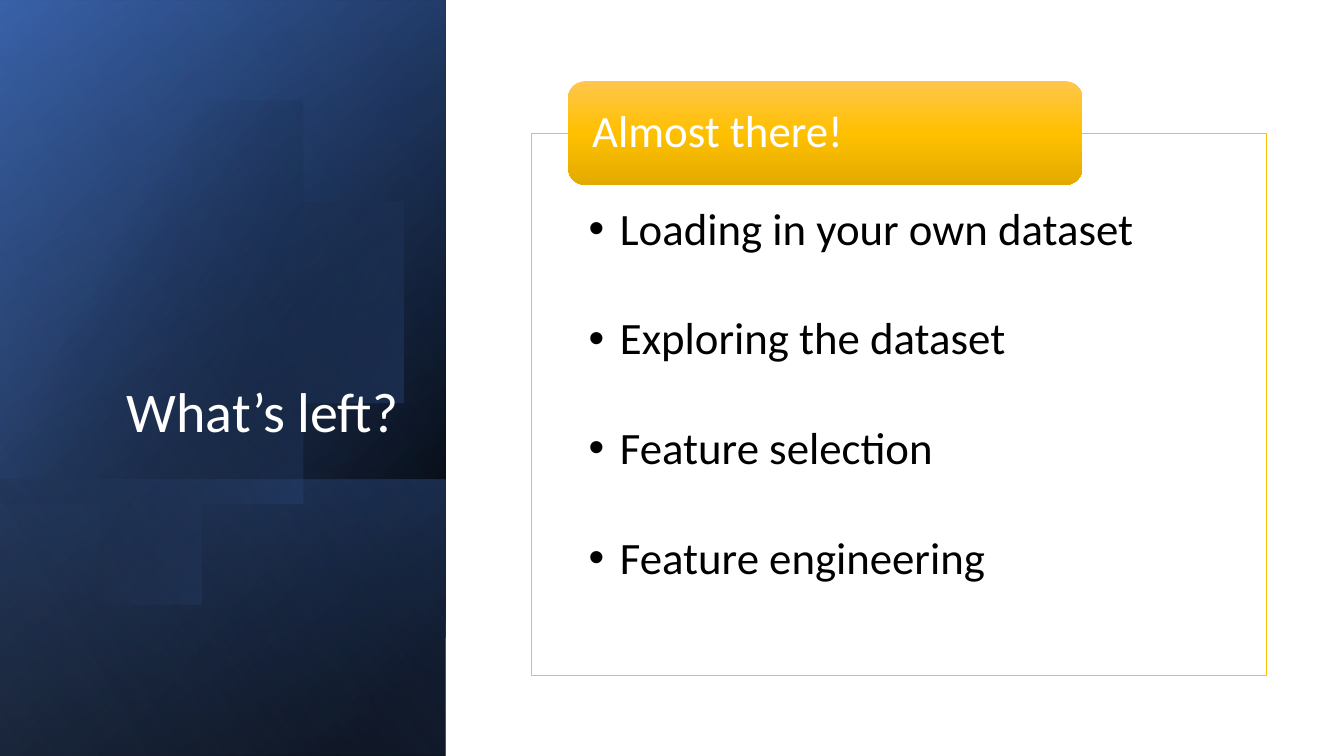
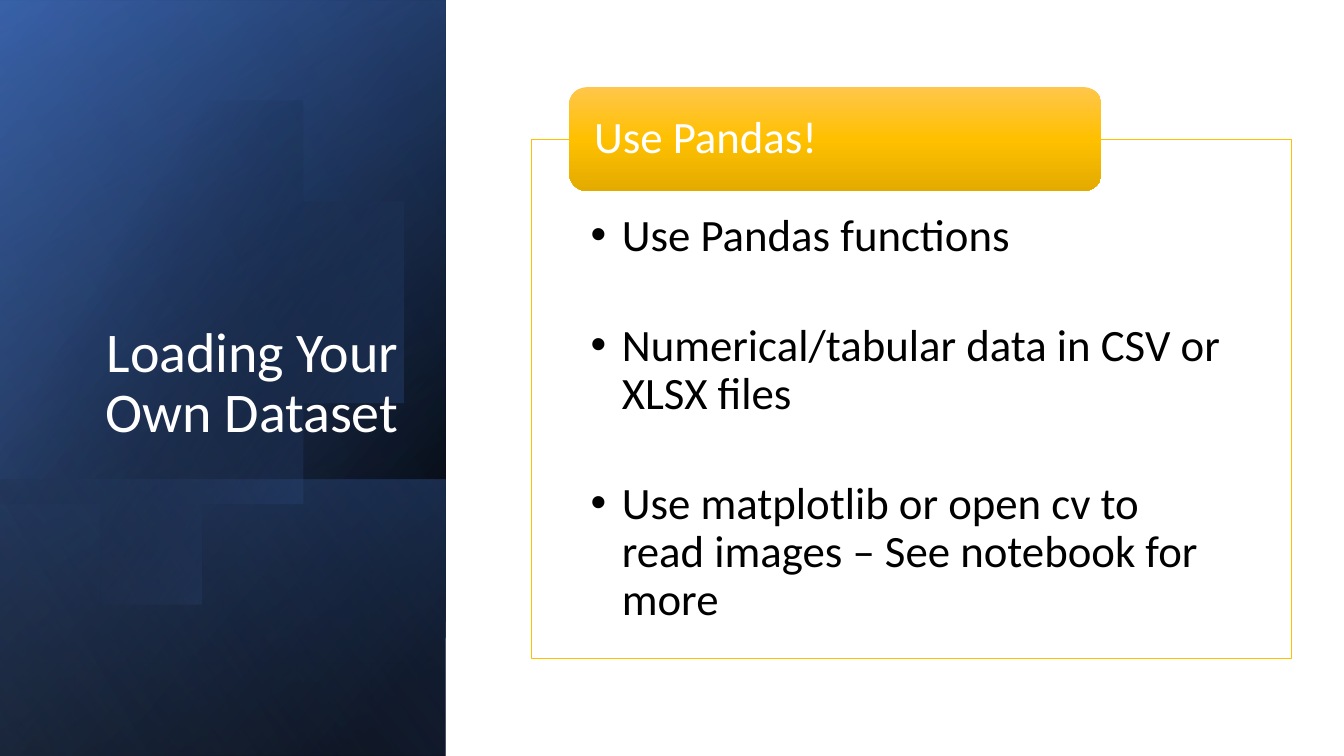
import math

import lxml.etree
import pptx
import pptx.dml.color
import pptx.enum.shapes
import pptx.enum.text
import pptx.oxml.ns
import pptx.util

Inches = pptx.util.Inches
Pt = pptx.util.Pt
qn = pptx.oxml.ns.qn
SHAPES = pptx.enum.shapes.MSO_SHAPE
ANCHOR = pptx.enum.text.MSO_ANCHOR
ALIGN = pptx.enum.text.PP_ALIGN

# Band layers: left, top, width, height, gradient angle,
# stops of (position %, colour, opacity %)
BAND_LAYERS = [
    (0, 0, 4.42, 7.5, 50, [(8, "000000", 100), (100, "2F5597", 100)]),
    (0, 0.01, 4.42, 7.5, 30, [(0, "000000", 0), (99, "4472C4", 46)]),
    (0, 4.76, 4.42, 2.74, 130, [(2, "4472C4", 29), (100, "000000", 30)]),
]
BAND_SHEEN = (0, 0, 4.42, 7.5, 120, [(0, "000000", 0), (99, "8FAADC", 11)])
DISC_STOPS = [(29, "000000", 0), (100, "4472C4", 43)]
HEADER_STOPS = [(0, "FFC64B", 100), (50, "FFC000", 100), (100, "E3AB00", 100)]

# Slide content: title, panel frame, header, bullets
SLIDES = [
    ("What’s left?", (5.27, 1.32, 7.29, 5.38), "Almost there!",
     ["Loading in your own dataset", "Exploring the dataset",
      "Feature selection", "Feature engineering"]),
    ("Loading Your Own Dataset", (5.27, 1.38, 7.54, 5.15), "Use Pandas!",
     ["Use Pandas functions", "Numerical/tabular data in CSV or XLSX files",
      "Use matplotlib or open cv to read images – See notebook for more"]),
]


def rgb(value):
    return pptx.dml.color.RGBColor.from_string(value)


def apply_format(target, values):
    for name, value in values.items():
        setattr(target, name, value)


class Designer:
    font = "Calibri"
    white, black, gold = "FFFFFF", "000000", "FFC000"
    title_size, body_size = 40, 32
    line_spacing = 0.9

    def __init__(self):
        self.deck = pptx.Presentation()
        apply_format(self.deck, {"slide_width": Inches(13.33),
                                 "slide_height": Inches(7.5)})
        self.page = None

    def new_page(self):
        self.page = self.deck.slides.add_slide(self.deck.slide_layouts[6])

    def shape(self, kind, left, top, width, height):
        box = self.page.shapes.add_shape(
            kind, Inches(left), Inches(top), Inches(width), Inches(height))
        box.shadow.inherit = False
        box.line.fill.background()
        return box

    def gradient(self, box, angle, stops):
        """Fill with a linear gradient; the angle runs clockwise."""
        box.fill.gradient()
        box.fill.gradient_angle = 360 - angle
        stop_list = box._element.spPr.find(".//" + qn("a:gsLst"))
        for old_stop in list(stop_list):
            stop_list.remove(old_stop)
        for position, colour, opacity in stops:
            stop = lxml.etree.SubElement(
                stop_list, qn("a:gs"), pos=str(position * 1000))
            shade = lxml.etree.SubElement(stop, qn("a:srgbClr"), val=colour)
            lxml.etree.SubElement(
                shade, qn("a:alpha"), val=str(opacity * 1000))

    def band_layer(self, left, top, width, height, angle, stops):
        """A quarter-turned, mirrored rectangle covering the given area."""
        shift = (width - height) / 2
        box = self.shape(SHAPES.RECTANGLE, left + shift, top - shift,
                         height, width)
        box.rotation = 90
        box._element.spPr.find(qn("a:xfrm")).set("flipH", "1")
        self.gradient(box, angle, stops)

    def disc(self, centre_x, centre_y, radius):
        """A circle cut straight on its left side."""
        points = [(centre_x + radius * math.cos(math.radians(degree)),
                   centre_y + radius * math.sin(math.radians(degree)))
                  for degree in range(-135, 136, 3)]
        builder = self.page.shapes.build_freeform(
            *points[0], scale=Inches(1))
        builder.add_line_segments(points[1:], close=True)
        box = builder.convert_to_shape()
        box.shadow.inherit = False
        box.line.fill.background()
        self.gradient(box, 30, DISC_STOPS)

    def band(self):
        for layer in BAND_LAYERS:
            self.band_layer(*layer)
        self.disc(1.45, 3.38, 2.28)
        self.band_layer(*BAND_SHEEN)

    def add_text(self, box, lines, size, colour, anchor, align=ALIGN.LEFT,
                 margins=(0.1, 0.05, 0.1, 0.05), gap=0):
        frame = box.text_frame
        sides = ("left", "top", "right", "bottom")
        apply_format(frame, {"word_wrap": True, "vertical_anchor": anchor})
        apply_format(frame, {f"margin_{side}": Inches(margin)
                             for side, margin in zip(sides, margins)})
        for index, line in enumerate(lines):
            para = frame.add_paragraph() if index else frame.paragraphs[0]
            apply_format(para, {"alignment": align, "space_after": Pt(gap),
                                "line_spacing": self.line_spacing})
            span = para.add_run()
            span.text = line
            apply_format(span.font, {"name": self.font, "size": Pt(size)})
            span.font.color.rgb = rgb(colour)
        return frame

    def title(self, text):
        box = self.page.shapes.add_textbox(
            Inches(0.64), Inches(1.84), Inches(3.41), Inches(2.62))
        self.add_text(box, [text], self.title_size, self.white,
                      ANCHOR.BOTTOM, ALIGN.RIGHT)

    def panel(self, left, top, width, height, bullets):
        box = self.shape(SHAPES.RECTANGLE, left, top, width, height)
        box.fill.solid()
        box.fill.fore_color.rgb = rgb(self.white)
        box.line.color.rgb = rgb(self.gold)
        box.line.width = Pt(0.5)
        side = width * 0.078
        frame = self.add_text(box, bullets, self.body_size, self.black,
                              ANCHOR.TOP, margins=(side, 0.73, side, 0.25),
                              gap=43.7)
        indent = Inches(0.31)
        for para in frame.paragraphs:
            properties = para._p.get_or_add_pPr()
            properties.set("marL", str(indent))
            properties.set("indent", str(-indent))
            lxml.etree.SubElement(properties, qn("a:buFont"), typeface="Arial")
            lxml.etree.SubElement(properties, qn("a:buChar"), char="•")

    def header(self, panel_left, panel_top, panel_width, text):
        """A rounded label centred on the panel's top edge."""
        height = 1.03
        box = self.shape(SHAPES.ROUNDED_RECTANGLE,
                         panel_left + panel_width * 0.05,
                         panel_top - height / 2, panel_width * 0.7, height)
        self.gradient(box, 90, HEADER_STOPS)
        side = panel_width * 0.026
        self.add_text(box, [text], self.body_size, self.white, ANCHOR.MIDDLE,
                      margins=(side, 0, side, 0))


def main():
    designer = Designer()
    for title, frame, header, bullets in SLIDES:
        designer.new_page()
        designer.band()
        designer.title(title)
        designer.panel(*frame, bullets)
        designer.header(*frame[:3], header)
    designer.deck.save("out.pptx")


if __name__ == "__main__":
    main()
